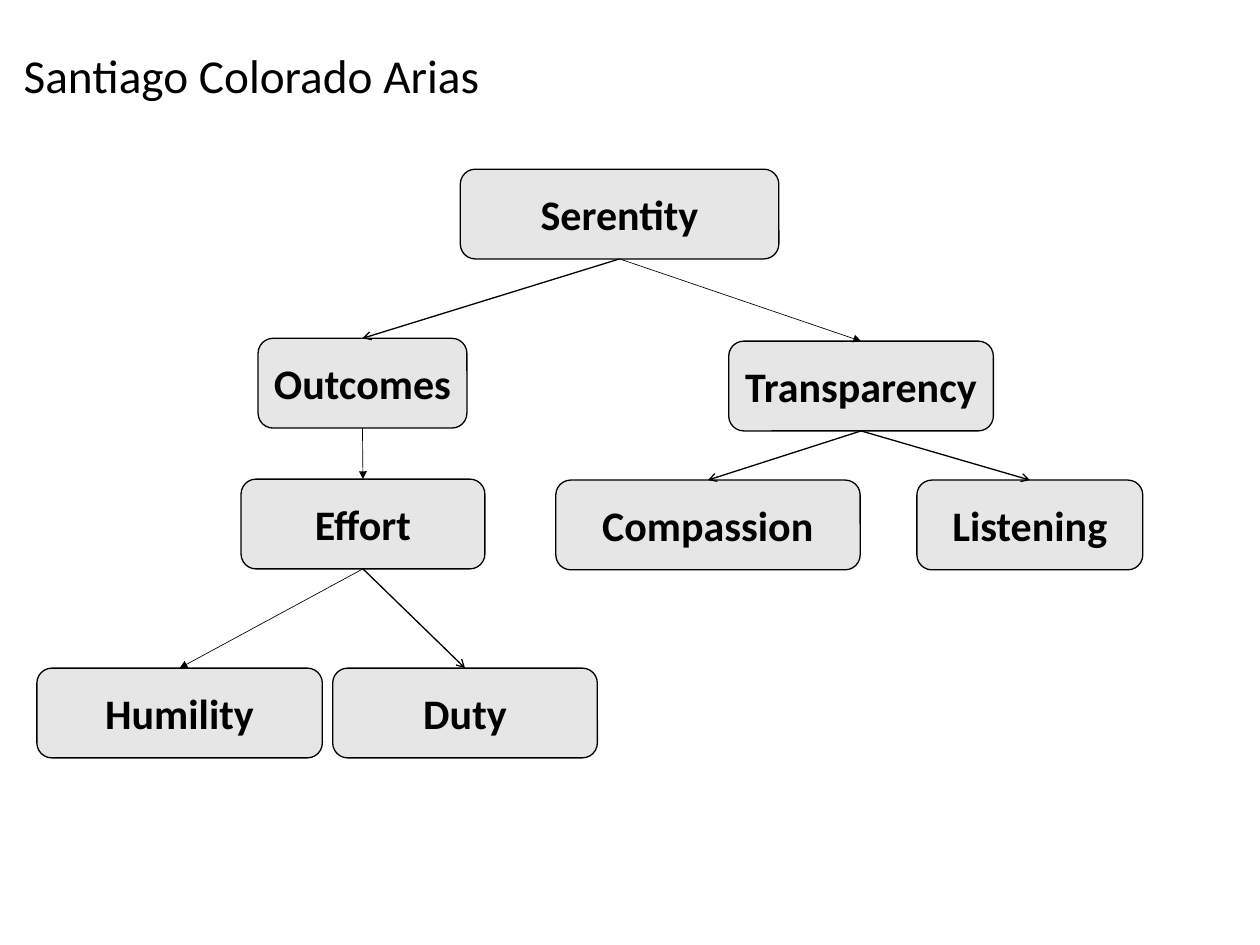
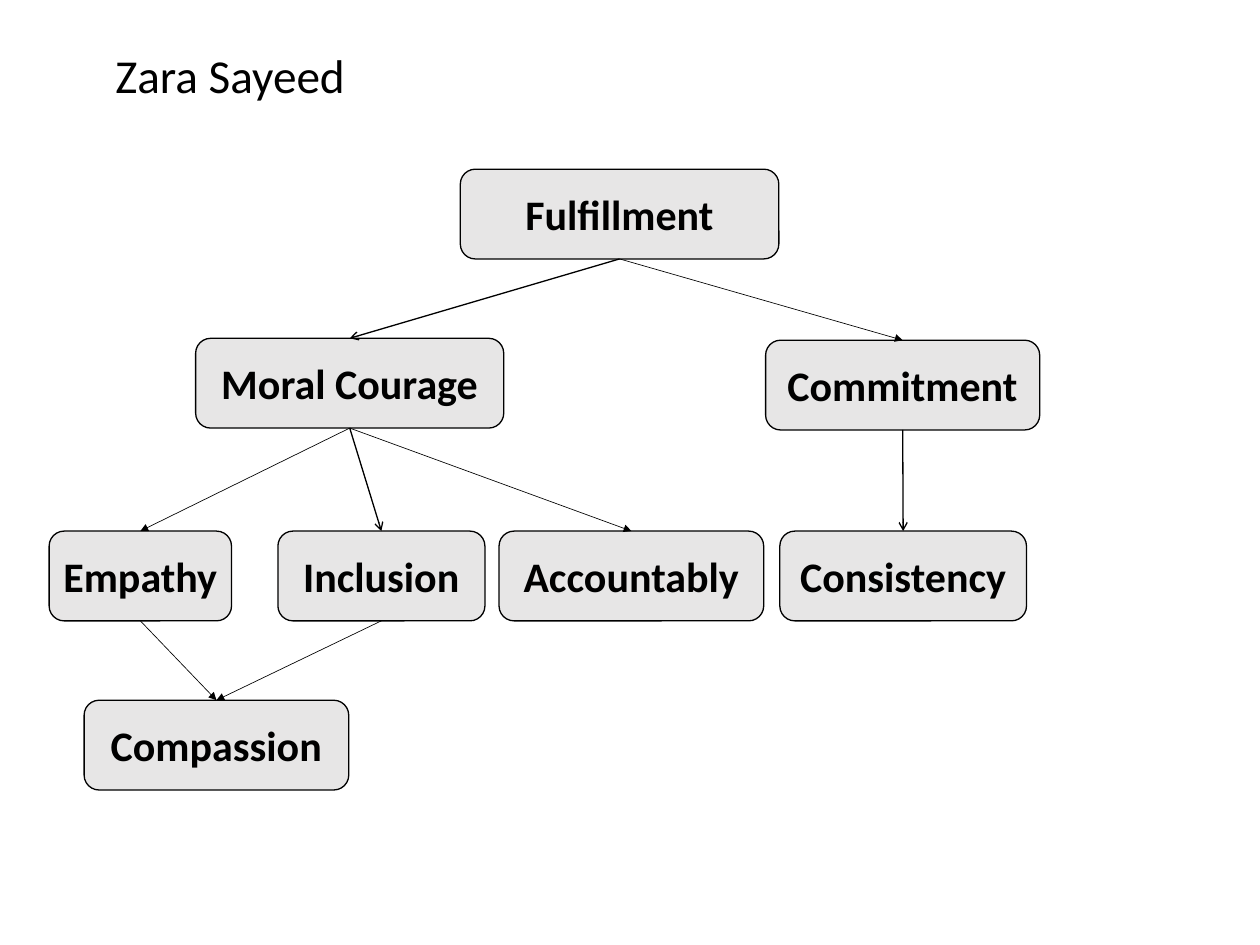
"""Build two slides that show personal values as trees of boxes and arrows."""
import lxml.etree
import pptx
import pptx.dml.color
import pptx.enum.shapes
import pptx.enum.text
import pptx.oxml.ns
import pptx.util

PX = 9144
BOX_HEIGHT = 95
BLACK = "000000"
GREY = "E7E6E6"
TITLE_FONT = {"name": "Calibri", "size": pptx.util.Pt(36), "bold": False}
BOX_FONT = {"name": "Calibri", "size": pptx.util.Pt(32), "bold": True}
ARROW_WIDTHS = {"triangle": 0.5, "arrow": 1}
TOP_SITE, BOTTOM_SITE = 0, 2

SLIDES = [
    {
        "title": "Santiago Colorado Arias",
        "title_width": 532,
        "boxes": {
            "Serentity": (487, 179, 337),
            "Outcomes": (273, 358, 221),
            "Transparency": (771, 361, 280),
            "Effort": (255, 507, 258),
            "Compassion": (588, 508, 322),
            "Listening": (970, 508, 239),
            "Humility": (39, 707, 302),
            "Duty": (352, 707, 280),
        },
        "arrows": [
            ("Serentity", "Outcomes", "arrow"),
            ("Serentity", "Transparency", "triangle"),
            ("Outcomes", "Effort", "triangle"),
            ("Transparency", "Compassion", "arrow"),
            ("Transparency", "Listening", "arrow"),
            ("Effort", "Humility", "triangle"),
            ("Effort", "Duty", "arrow"),
        ],
    },
    {
        "title": "Zara Sayeed",
        "title_width": 487,
        "boxes": {
            "Fulfillment": (487, 179, 337),
            "Moral Courage": (207, 358, 326),
            "Commitment": (810, 360, 290),
            "Empathy": (52, 562, 193),
            "Inclusion": (294, 562, 219),
            "Accountably": (528, 562, 280),
            "Consistency": (825, 562, 261),
            "Compassion": (89, 741, 280),
        },
        "arrows": [
            ("Fulfillment", "Moral Courage", "arrow"),
            ("Fulfillment", "Commitment", "triangle"),
            ("Moral Courage", "Empathy", "triangle"),
            ("Moral Courage", "Inclusion", "arrow"),
            ("Moral Courage", "Accountably", "triangle"),
            ("Commitment", "Consistency", "arrow"),
            ("Empathy", "Compassion", "triangle"),
            ("Inclusion", "Compassion", "triangle"),
        ],
    },
]


def color(value):
    """Turn a hex string into a colour."""
    return pptx.dml.color.RGBColor.from_string(value)


def write(shape, text, font_format):
    """Put one centred line of black text in a shape."""
    frame = shape.text_frame
    frame.word_wrap = True
    frame.auto_size = pptx.enum.text.MSO_AUTO_SIZE.NONE
    frame.vertical_anchor = pptx.enum.text.MSO_ANCHOR.MIDDLE
    para = frame.paragraphs[0]
    para.alignment = pptx.enum.text.PP_ALIGN.CENTER
    span = para.add_run()
    span.text = text
    span.font.color.rgb = color(BLACK)
    for name, value in font_format.items():
        setattr(span.font, name, value)


deck = pptx.Presentation()
deck.slide_width = 1333 * PX
deck.slide_height = 1000 * PX
title_only = deck.slide_layouts.get_by_name("Title Only")

for content in SLIDES:
    page = deck.slides.add_slide(title_only)
    title = page.shapes.title
    place = {"left": 0, "top": 43, "width": content["title_width"], "height": 71}
    for name, value in place.items():
        setattr(title, name, value * PX)
    write(title, content["title"], TITLE_FONT)

    boxes = {}
    for label, (left, top, width) in content["boxes"].items():
        box = page.shapes.add_shape(
            pptx.enum.shapes.MSO_SHAPE.ROUNDED_RECTANGLE,
            left * PX, top * PX, width * PX, BOX_HEIGHT * PX)
        box.shadow.inherit = False
        box.fill.solid()
        box.fill.fore_color.rgb = color(GREY)
        box.line.color.rgb = color(BLACK)
        box.line.width = pptx.util.Pt(1)
        write(box, label, BOX_FONT)
        boxes[label] = box

    for parent, child, head in content["arrows"]:
        arrow = page.shapes.add_connector(
            pptx.enum.shapes.MSO_CONNECTOR.STRAIGHT, 0, 0, 0, 0)
        arrow.begin_connect(boxes[parent], BOTTOM_SITE)
        arrow.end_connect(boxes[child], TOP_SITE)
        arrow.line.color.rgb = color(BLACK)
        arrow.line.width = pptx.util.Pt(ARROW_WIDTHS[head])
        properties = arrow.element.spPr
        outline = properties.find(pptx.oxml.ns.qn("a:ln"))
        lxml.etree.SubElement(outline, pptx.oxml.ns.qn("a:tailEnd"), type=head)
        lxml.etree.SubElement(properties, pptx.oxml.ns.qn("a:effectLst"))

deck.save("out.pptx")
